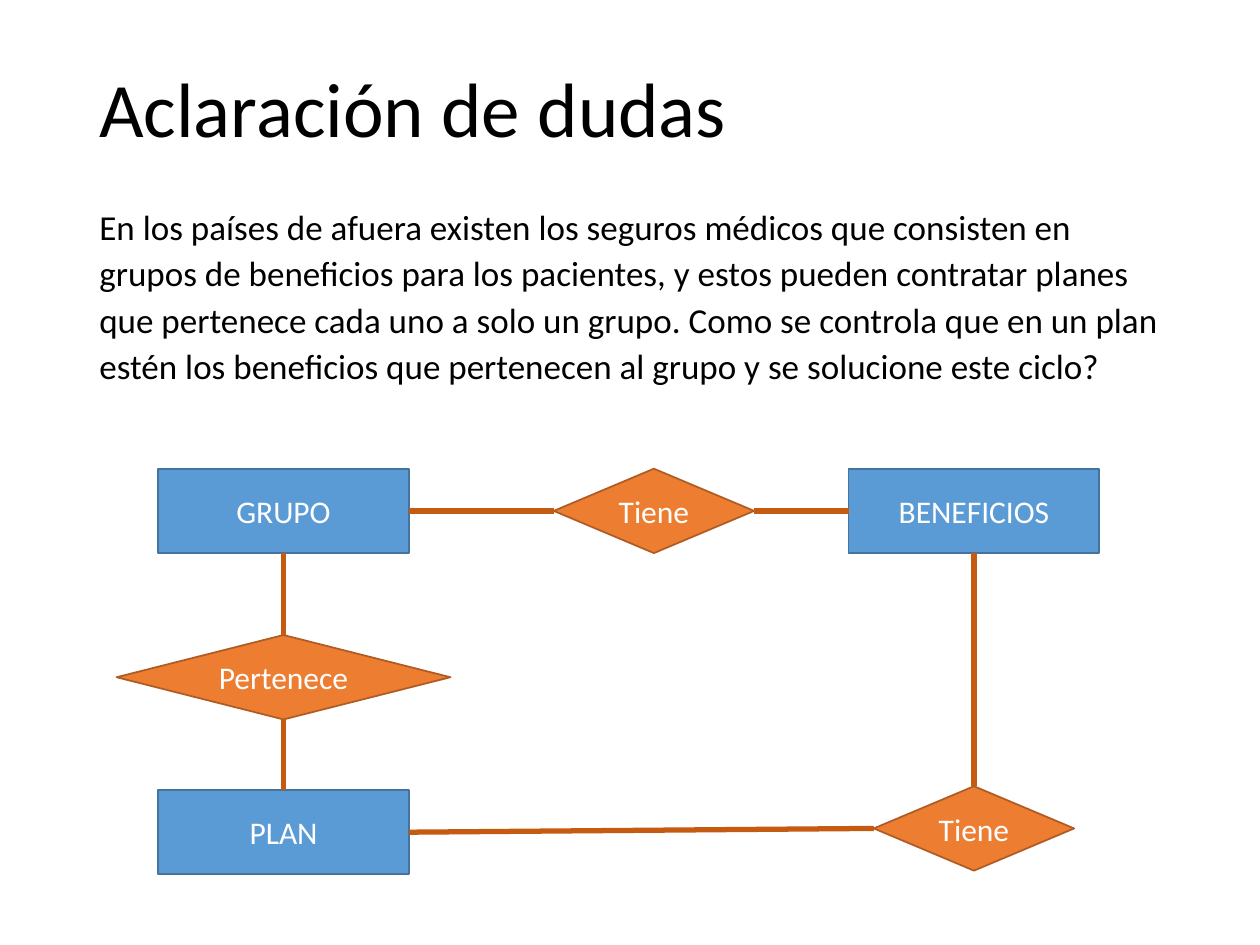
from pptx import Presentation
from pptx.dml.color import RGBColor
from pptx.enum.shapes import MSO_CONNECTOR, MSO_SHAPE
from pptx.enum.text import MSO_ANCHOR, PP_ALIGN
from pptx.oxml.ns import qn
from pptx.util import Inches, Pt
from lxml.etree import SubElement

# Content
TITLE = "Aclaración de dudas"
QUESTION = (
    "En los países de afuera existen los seguros médicos que consisten en "
    "grupos de beneficios para los pacientes, y estos pueden contratar planes "
    "que pertenece cada uno a solo un grupo. Como se controla que en un plan "
    "estén los beneficios que pertenecen al grupo y se solucione este ciclo?"
)
COLORS = {
    "text": "000000", "label": "FFFFFF", "link": "C55A11",
    "entity": "5B9BD5", "entity_line": "43739E",
    "relation": "ED7D31", "relation_line": "AF5C24",
}
SHAPES = {"entity": MSO_SHAPE.RECTANGLE, "relation": MSO_SHAPE.DIAMOND}
NODE_H = 0.67
LEFT_X, MIDDLE_X, RIGHT_X = 2.25, 5.19, 7.73  # column centres

# key: (label, kind, centre x, top, width)
NODES = {
    "group": ("GRUPO", "entity", LEFT_X, 3.72, 1.99),
    "benefits": ("BENEFICIOS", "entity", RIGHT_X, 3.72, 1.99),
    "plan": ("PLAN", "entity", LEFT_X, 6.27, 1.99),
    "belongs": ("Pertenece", "relation", LEFT_X, 5.04, 2.65),
    "plan_has": ("Tiene", "relation", RIGHT_X, 6.24, 1.59),
    "group_has": ("Tiene", "relation", MIDDLE_X, 3.72, 1.59),
}
TOP, LEFT, BOTTOM, RIGHT = range(4)  # connection sites
LINKS = [
    ("group", RIGHT, "group_has", LEFT),
    ("group", BOTTOM, "belongs", TOP),
    ("belongs", BOTTOM, "plan", TOP),
    ("benefits", LEFT, "group_has", RIGHT),
    ("benefits", BOTTOM, "plan_has", TOP),
    ("plan_has", LEFT, "plan", RIGHT),
]


def rgb(name):
    return RGBColor.from_string(COLORS[name])


def write(shape, text, size=18, color="text", align=PP_ALIGN.LEFT,
          anchor=MSO_ANCHOR.MIDDLE, spacing=1.0, before=0):
    tf = shape.text_frame
    tf.word_wrap = True
    tf.vertical_anchor = anchor
    p = tf.paragraphs[0]
    p.alignment = align
    p.line_spacing = spacing
    p.space_before = Pt(before)
    r = p.add_run()
    r.text = text
    r.font.name = "Calibri"
    r.font.size = Pt(size)
    r.font.color.rgb = rgb(color)


prs = Presentation()
prs.slide_width, prs.slide_height = Inches(10), Inches(7.5)
s = prs.slides.add_slide(prs.slide_layouts[6])

# Title and question
for text, top, height, style in [
    (TITLE, 0.4, 0.98, dict(size=44, spacing=0.9)),
    (QUESTION, 1.55, 1.74,
     dict(size=20, spacing=1.1, before=10, anchor=MSO_ANCHOR.TOP)),
]:
    box = s.shapes.add_textbox(Inches(0.69), Inches(top), Inches(8.62), Inches(height))
    write(box, text, **style)

# Entities and relations
nodes = {}
for key, (label, kind, center, top, width) in NODES.items():
    sp = s.shapes.add_shape(SHAPES[kind], Inches(center - width / 2), Inches(top),
                            Inches(width), Inches(NODE_H))
    sp.shadow.inherit = False
    sp.fill.solid()
    sp.fill.fore_color.rgb = rgb(kind)
    sp.line.color.rgb = rgb(kind + "_line")
    sp.line.width = Pt(1)
    write(sp, label, color="label", align=PP_ALIGN.CENTER)
    nodes[key] = sp

# Links glued to the nodes
for start, start_site, end, end_site in LINKS:
    link = s.shapes.add_connector(MSO_CONNECTOR.STRAIGHT, 0, 0, 0, 0)
    link.begin_connect(nodes[start], start_site)
    link.end_connect(nodes[end], end_site)
    link.line.color.rgb = rgb("link")
    link.line.width = Pt(3)
    SubElement(link._element.spPr, qn("a:effectLst"))

prs.save("out.pptx")
